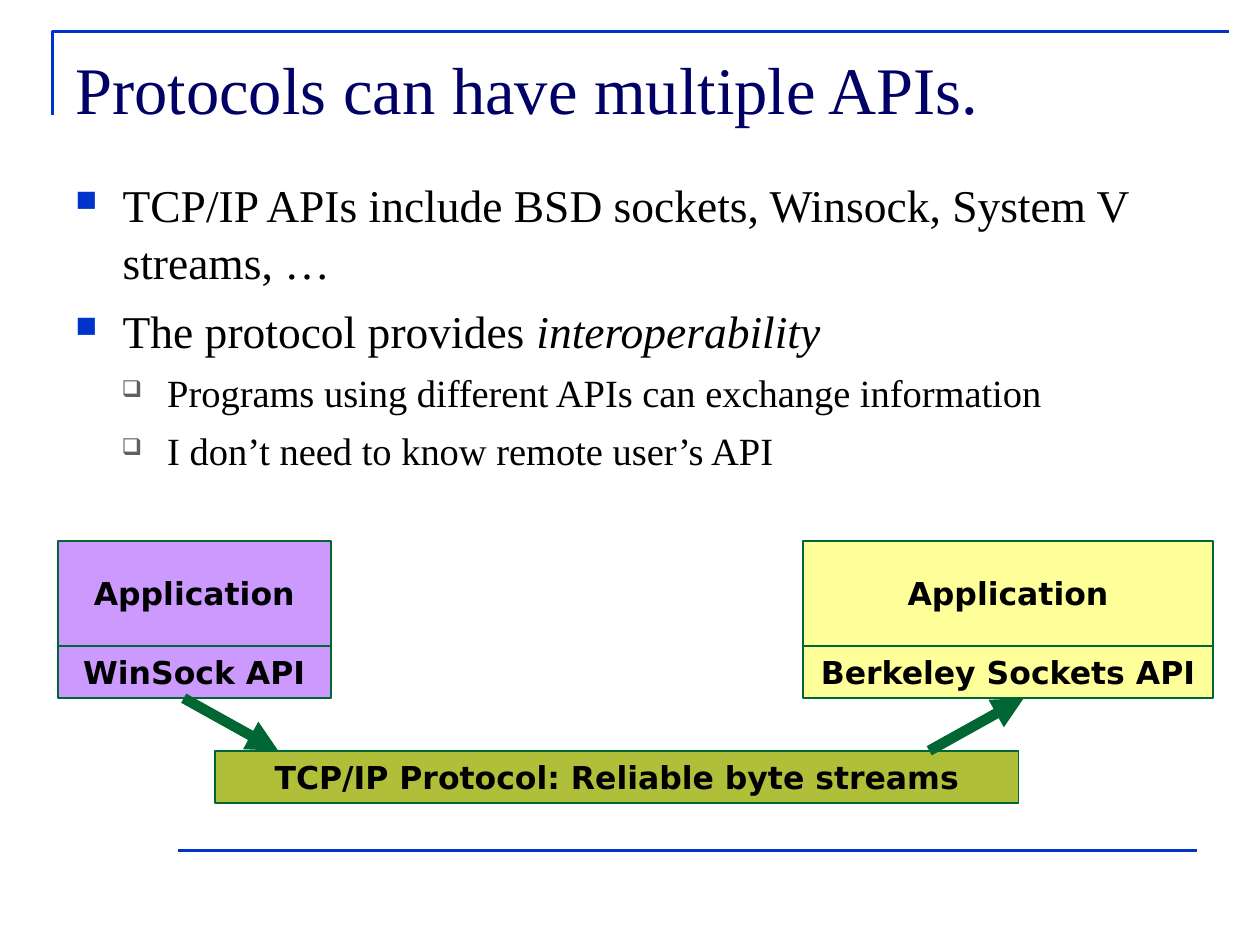
import pptx
import pptx.util
import pptx.dml.color
import pptx.enum.shapes
import pptx.enum.text
import pptx.oxml
import pptx.oxml.ns
from lxml import etree

Pt = pptx.util.Pt
SERIF = "Times New Roman"
SANS = "DejaVu Sans"
BLUE = "0033CC"
GREEN = "006633"
BLACK = "000000"
API_HEIGHT = 30
APPLICATION_HEIGHT = 60


def color(value):
    return pptx.dml.color.RGBColor.from_string(value)


def add_element(parent, tag, **attributes):
    return etree.SubElement(parent, pptx.oxml.ns.qn(tag), attributes)


def add_run(paragraph, text, size, font, fill, bold=False, italic=False):
    run = paragraph.add_run()
    run.text = text
    run.font.size = Pt(size)
    run.font.name = font
    run.font.bold = bold
    run.font.italic = italic
    run.font.color.rgb = color(fill)


def add_text_box(slide, left, top, width, height):
    shape = slide.shapes.add_textbox(Pt(left), Pt(top), Pt(width), Pt(height))
    shape.text_frame.word_wrap = True
    return shape.text_frame


def add_line(slide, start, end, stroke, weight, arrow=False):
    connector = slide.shapes.add_connector(
        pptx.enum.shapes.MSO_CONNECTOR.STRAIGHT, *map(Pt, start + end))
    connector.line.color.rgb = color(stroke)
    connector.line.width = Pt(weight)
    if arrow:
        add_element(connector.line._get_or_add_ln(), "a:tailEnd", type="triangle")
    add_element(connector._element.spPr, "a:effectLst")


def add_frame(slide, left, top, width, height):
    builder = slide.shapes.build_freeform(Pt(left), Pt(top + height), scale=1.0)
    builder.add_line_segments(
        [(Pt(left), Pt(top)), (Pt(left + width), Pt(top))], close=False)
    shape = builder.convert_to_shape()
    shape.shadow.inherit = False
    shape.fill.background()
    shape.line.color.rgb = color(BLUE)
    shape.line.width = Pt(1.5)
    add_line(slide, (left + 72, top + 468), (left + 654, top + 468), BLUE, 1.5)


def add_title(slide, left, top, width, height):
    paragraph = add_text_box(slide, left, top, width, height).paragraphs[0]
    paragraph.line_spacing = 1.05
    add_run(paragraph, "Protocols can have multiple APIs.", 38, SERIF, "000066")


def add_bullets(slide, left, top, width, height):
    styles = [
        dict(size=26, margin=27, hanging=27, before=6.5,
             bullet="■", bullet_color=BLUE, bullet_size=65),
        dict(size=22, margin=52.5, hanging=26, before=5.5,
             bullet="❑", bullet_color="5F5F5F", bullet_size=60),
    ]
    items = [
        (0, [("TCP/IP APIs include BSD sockets, Winsock, System V streams, …", False)]),
        (0, [("The protocol provides ", False), ("interoperability", True)]),
        (1, [("Programs using different APIs can exchange information", False)]),
        (1, [("I don’t need to know remote user’s API", False)]),
    ]
    frame = add_text_box(slide, left, top, width, height)
    for index, (level, runs) in enumerate(items):
        style = styles[level]
        paragraph = frame.add_paragraph() if index else frame.paragraphs[0]
        paragraph.level = level
        paragraph.line_spacing = 1.05
        paragraph.space_before = Pt(style["before"] if index else 0)
        properties = paragraph._p.get_or_add_pPr()
        properties.set("marL", str(Pt(style["margin"])))
        properties.set("indent", str(-Pt(style["hanging"])))
        bullet_color = add_element(properties, "a:buClr")
        add_element(bullet_color, "a:srgbClr", val=style["bullet_color"])
        add_element(properties, "a:buSzPct", val=str(style["bullet_size"] * 1000))
        add_element(properties, "a:buChar", char=style["bullet"])
        for text, italic in runs:
            add_run(paragraph, text, style["size"], SERIF, BLACK, italic=italic)


def add_block(slide, left, top, width, height, text, fill):
    shape = slide.shapes.add_shape(
        pptx.enum.shapes.MSO_SHAPE.RECTANGLE, Pt(left), Pt(top), Pt(width), Pt(height))
    shape.shadow.inherit = False
    shape.fill.solid()
    shape.fill.fore_color.rgb = color(fill)
    shape.line.color.rgb = color(GREEN)
    shape.line.width = Pt(1)
    frame = shape.text_frame
    frame.word_wrap = False
    frame.vertical_anchor = pptx.enum.text.MSO_ANCHOR.MIDDLE
    paragraph = frame.paragraphs[0]
    paragraph.alignment = pptx.enum.text.PP_ALIGN.CENTER
    add_run(paragraph, text, 18, SANS, BLACK, bold=True)


def add_stack(slide, left, top, width, api, fill):
    add_block(slide, left, top + APPLICATION_HEIGHT, width, API_HEIGHT, api, fill)
    add_block(slide, left, top, width, APPLICATION_HEIGHT, "Application", fill)


def add_protocol_diagram(slide, left, top, width):
    stack_bottom = top + APPLICATION_HEIGHT + API_HEIGHT
    protocol_top = stack_bottom + 30
    add_block(slide, left + 90, protocol_top, 459, API_HEIGHT,
              "TCP/IP Protocol: Reliable byte streams", "AFBF39")
    add_stack(slide, left, top, 156, "WinSock API", "CC99FF")
    add_stack(slide, left + width - 234, top, 234, "Berkeley Sockets API", "FFFF99")
    add_line(slide, (left + 72, stack_bottom), (left + 126, protocol_top),
             GREEN, 6, arrow=True)
    add_line(slide, (left + 498, protocol_top), (left + 552, stack_bottom),
             GREEN, 6, arrow=True)


def main():
    presentation = pptx.Presentation()
    presentation.slide_width = Pt(720)
    presentation.slide_height = Pt(540)
    slide = presentation.slides.add_slide(presentation.slide_layouts[6])
    add_frame(slide, 30, 18, 672, 48)
    add_title(slide, 36, 21.6, 618, 68.4)
    add_bullets(slide, 36, 96, 648, 386.4)
    add_protocol_diagram(slide, 33, 309, 660)
    presentation.save("out.pptx")


if __name__ == "__main__":
    main()
